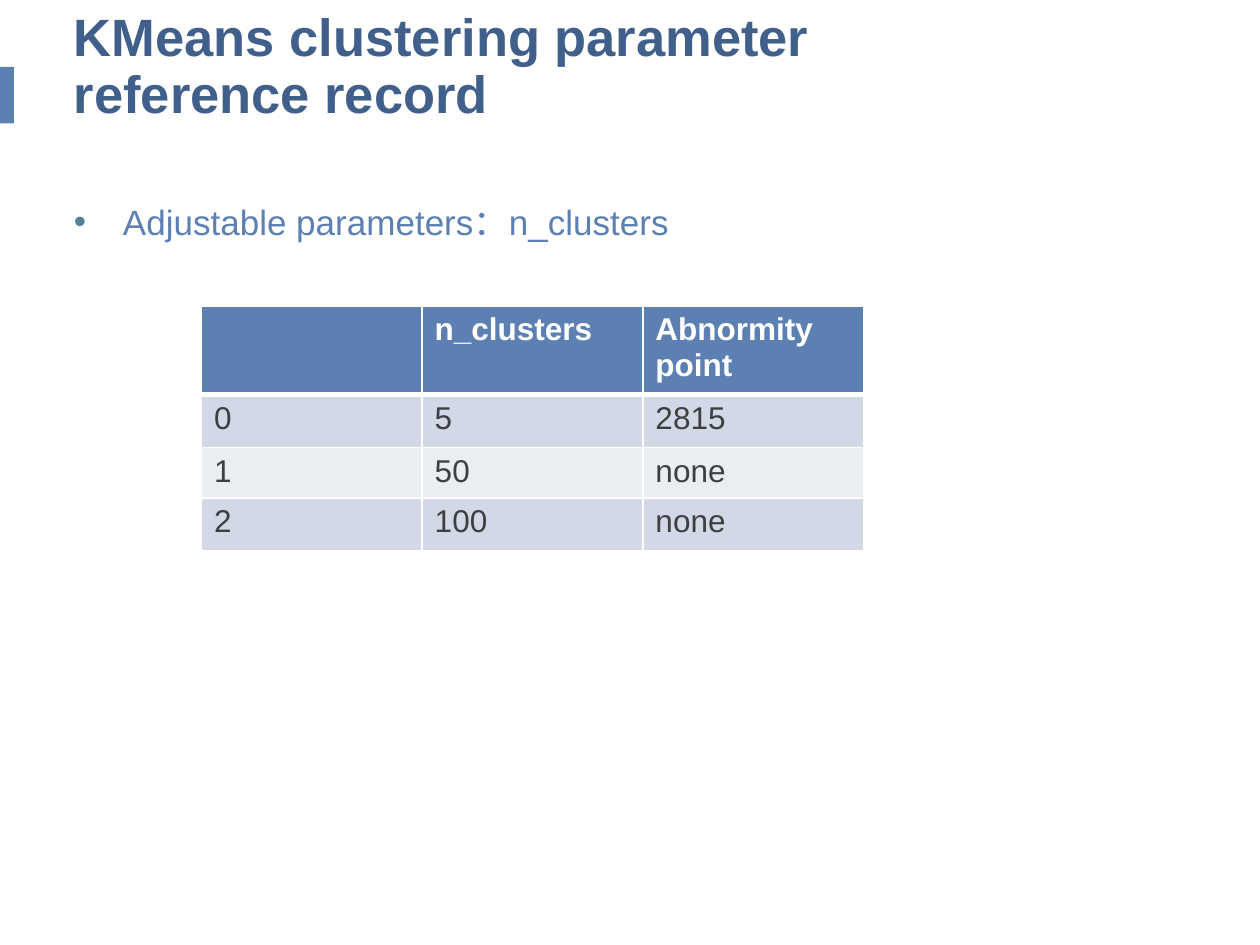
from dataclasses import dataclass

from lxml.etree import SubElement
from pptx import Presentation
from pptx.dml.color import RGBColor
from pptx.enum.shapes import MSO_SHAPE as Shape
from pptx.enum.text import MSO_ANCHOR as Anchor, PP_ALIGN as Align
from pptx.oxml.ns import qn
from pptx.util import Cm, Pt

FONT = "Arial"
COLORS = {
    "accent": "5D80B3",
    "title": "415F8B",
    "bullet": "528199",
    "body": "3D3F41",
    "white": "FFFFFF",
    "dark_band": "D2D8E5",
    "light_band": "EAEDF2",
}
TABLE_ROWS = [
    ["", "n_clusters", "Abnormity point"],
    ["0", "5", "2815"],
    ["1", "50", "none"],
    ["2", "100", "none"],
]
COLUMN_WIDTH = 4.45
ROW_HEIGHTS = [1.07, 1.07, 1.02, 1.07]


@dataclass
class TextStyle:
    size: float
    color: str
    bold: bool = False


@dataclass
class Area:
    """Position and size in centimetres."""
    left: float
    top: float
    width: float
    height: float

    def lengths(self) -> list:
        return [Cm(v) for v in (self.left, self.top, self.width, self.height)]


def rgb(name: str) -> RGBColor:
    return RGBColor.from_string(COLORS[name])


def add_span(para, text: str, style: TextStyle) -> None:
    span = para.add_run()
    span.text = text
    span.font.name = FONT
    span.font.size = Pt(style.size)
    span.font.bold = style.bold
    span.font.color.rgb = rgb(style.color)


def add_text(slide, area: Area, text: str, style: TextStyle, anchor=Anchor.TOP):
    frame = slide.shapes.add_textbox(*area.lengths()).text_frame
    frame.word_wrap = True
    frame.vertical_anchor = anchor
    para = frame.paragraphs[0]
    add_span(para, text, style)
    return para


def add_bullet(para, indent: float) -> None:
    props = para._p.get_or_add_pPr()
    props.set("marL", str(Cm(indent)))
    props.set("indent", str(-Cm(indent)))
    color = SubElement(props, qn("a:buClr"))
    SubElement(color, qn("a:srgbClr"), val=COLORS["bullet"])
    SubElement(props, qn("a:buFont"), typeface=FONT)
    SubElement(props, qn("a:buChar"), char="•")


def set_borders(cell, widths: dict) -> None:
    props = cell._tc.get_or_add_tcPr()
    for side, width in widths.items():
        line = SubElement(props, qn(f"a:ln{side}"), w=str(Pt(width)))
        fill = SubElement(line, qn("a:solidFill"))
        SubElement(fill, qn("a:srgbClr"), val=COLORS["white"])


def add_parameter_table(slide, left: float, top: float) -> None:
    columns = len(TABLE_ROWS[0])
    area = Area(left, top, COLUMN_WIDTH * columns, sum(ROW_HEIGHTS))
    table = slide.shapes.add_table(len(TABLE_ROWS), columns, *area.lengths()).table
    for column in table.columns:
        column.width = Cm(COLUMN_WIDTH)
    for index, (values, height) in enumerate(zip(TABLE_ROWS, ROW_HEIGHTS)):
        table.rows[index].height = Cm(height)
        header = index == 0
        band = "accent" if header else "dark_band" if index % 2 else "light_band"
        style = TextStyle(18, "white" if header else "body", header)
        widths = {"L": 1, "R": 1, "T": 3 if index == 1 else 1, "B": 3 if header else 1}
        for cell, value in zip(table.rows[index].cells, values):
            set_borders(cell, widths)
            cell.fill.solid()
            cell.fill.fore_color.rgb = rgb(band)
            if value:
                add_span(cell.text_frame.paragraphs[0], value, style)


def main() -> None:
    deck = Presentation()
    deck.slide_width, deck.slide_height = Cm(25.4), Cm(19.05)
    page = deck.slides.add_slide(deck.slide_layouts[6])

    # Accent bar at the left edge
    bar = page.shapes.add_shape(Shape.RECTANGLE, *Area(0, 1.35, 0.28, 1.14).lengths())
    bar.shadow.inherit = False
    bar.fill.solid()
    bar.fill.fore_color.rgb = rgb("accent")
    bar.line.fill.background()

    # Title, growing upwards from its bottom edge
    title = add_text(page, Area(1.24, 0.71, 18.49, 1.93),
                     "KMeans clustering parameter reference record",
                     TextStyle(30, "title", True), Anchor.BOTTOM)
    title.line_spacing = 0.9

    # Bulleted line
    body = add_text(page, Area(1.24, 3.84, 22.94, 13.41),
                    "Adjustable parameters：n_clusters", TextStyle(20, "accent"))
    add_bullet(body, 0.99)
    body.alignment = Align.JUSTIFY
    body.line_spacing = 1.1

    # Parameter table
    add_parameter_table(page, 4.06, 6.17)

    deck.save("out.pptx")


if __name__ == "__main__":
    main()
